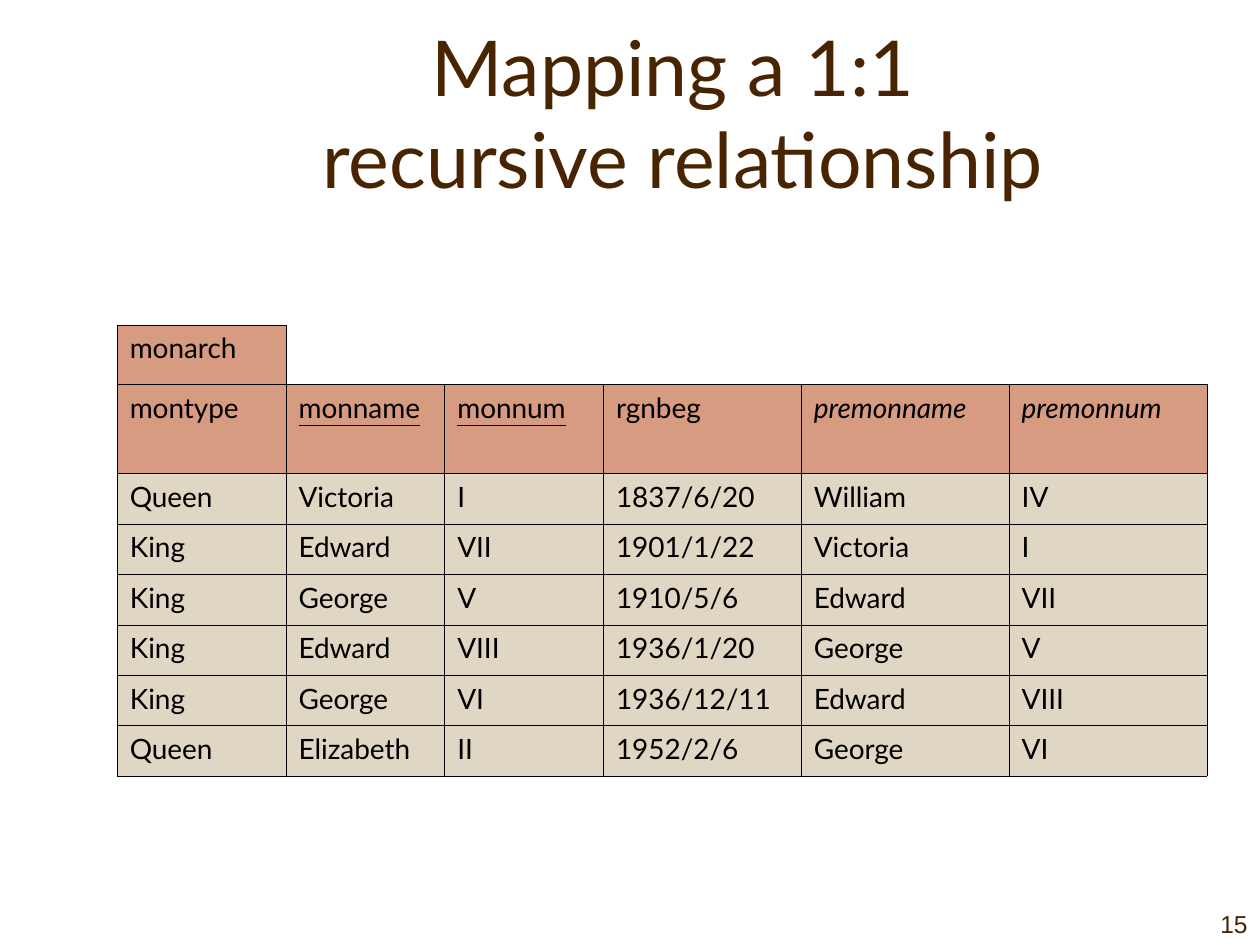
from dataclasses import dataclass

from lxml import etree
from pptx import Presentation
from pptx.dml.color import RGBColor
from pptx.enum.text import MSO_ANCHOR, PP_ALIGN
from pptx.oxml.ns import qn
from pptx.util import Inches, Pt

BOTTOM = MSO_ANCHOR.BOTTOM
CENTER, RIGHT, JUSTIFY = PP_ALIGN.CENTER, PP_ALIGN.RIGHT, PP_ALIGN.JUSTIFY
BLANK_LAYOUT = 6


@dataclass(frozen=True)
class Theme:
    """Colours, fonts and type sizes of the slide."""
    text: str = "482400"
    cell_text: str = "000000"
    border: str = "000000"
    header_fill: str = "D69B80"
    body_fill: str = "DFD6C3"
    font: str = "Lato"
    number_font: str = "Arial"
    title_size: int = 44
    cell_size: int = 16
    number_size: int = 14
    cell_spacing: int = 3
    border_width: float = 0.45


THEME = Theme()
COLUMN_WIDTHS = [1.34, 1.26, 1.26, 1.57, 1.65, 1.57]
NAME_HEIGHT, HEADER_HEIGHT, BODY_HEIGHT = 0.47, 0.71, 0.4
TABLE_NAME = "monarch"
HEADERS = ["montype", "monname", "monnum", "rgnbeg", "premonname", "premonnum"]
KEYS = {"monname", "monnum"}
FOREIGN_KEYS = {"premonname", "premonnum"}
MONARCHS = [
    ["Queen", "Victoria", "I", "1837/6/20", "William", "IV"],
    ["King", "Edward", "VII", "1901/1/22", "Victoria", "I"],
    ["King", "George", "V", "1910/5/6", "Edward", "VII"],
    ["King", "Edward", "VIII", "1936/1/20", "George", "V"],
    ["King", "George", "VI", "1936/12/11", "Edward", "VIII"],
    ["Queen", "Elizabeth", "II", "1952/2/6", "George", "VI"],
]


def style_font(font, name, size, color):
    """Set the typeface, size and colour of a font."""
    font.name = name
    font.size = Pt(size)
    font.color.rgb = RGBColor.from_string(color)


def add_text(page, bounds, lines, align, name, size):
    """Add a bottom-anchored text box with line breaks between the lines."""
    box = page.shapes.add_textbox(*map(Inches, bounds))
    frame = box.text_frame
    frame.word_wrap = True
    frame.vertical_anchor = BOTTOM
    para = frame.paragraphs[0]
    para.text = "\v".join(lines)
    para.alignment = align
    style_font(para.font, name, size, THEME.text)


def set_borders(cell, sides):
    """Draw the given sides of a cell and clear the others."""
    properties = cell._tc.get_or_add_tcPr()
    for side in "LRTB":
        line = etree.SubElement(properties, qn(f"a:ln{side}"), w=str(Pt(THEME.border_width)))
        if side in sides:
            fill = etree.SubElement(line, qn("a:solidFill"))
            etree.SubElement(fill, qn("a:srgbClr"), val=THEME.border)
        else:
            etree.SubElement(line, qn("a:noFill"))


def fill_cell(cell, text, fill):
    """Write a bordered cell, marking key and foreign key headers."""
    set_borders(cell, "LRTB")
    cell.fill.solid()
    cell.fill.fore_color.rgb = RGBColor.from_string(fill)
    para = cell.text_frame.paragraphs[0]
    para.text = text
    para.alignment = JUSTIFY
    para.space_before = para.space_after = Pt(THEME.cell_spacing)
    style_font(para.font, THEME.font, THEME.cell_size, THEME.cell_text)
    if text in KEYS:
        para.font.underline = True
    if text in FOREIGN_KEYS:
        para.font.italic = True


def clear_cell(cell, sides):
    """Leave a cell empty and unfilled with only the given borders."""
    set_borders(cell, sides)
    cell.fill.background()


def add_relation(page, left, top):
    """Add the relation table with its name tab, header and records."""
    rows = [[TABLE_NAME], HEADERS, *MONARCHS]
    heights = [NAME_HEIGHT, HEADER_HEIGHT] + [BODY_HEIGHT] * len(MONARCHS)
    bounds = (left, top, sum(COLUMN_WIDTHS), sum(heights))
    table = page.shapes.add_table(len(rows), len(HEADERS), *map(Inches, bounds)).table
    table.first_row = table.horz_banding = False
    for column, width in zip(table.columns, COLUMN_WIDTHS):
        column.width = Inches(width)
    for row, height in zip(table.rows, heights):
        row.height = Inches(height)
    for r, texts in enumerate(rows):
        fill = THEME.header_fill if r < 2 else THEME.body_fill
        for c, text in enumerate(texts):
            fill_cell(table.cell(r, c), text, fill)
    for c in range(1, len(HEADERS)):
        clear_cell(table.cell(0, c), "LB" if c == 1 else "B")


def main():
    """Build and save the slide."""
    deck = Presentation()
    deck.slide_width, deck.slide_height = Inches(10), Inches(7.5)
    page = deck.slides.add_slide(deck.slide_layouts[BLANK_LAYOUT])
    add_text(page, (1.17, 0.42, 8.5, 1.25), ["Mapping a 1:1 ", "recursive relationship"],
             CENTER, THEME.font, THEME.title_size)
    add_relation(page, 0.93, 2.58)
    add_text(page, (9, 7, 1, 0.5), ["15"], RIGHT, THEME.number_font, THEME.number_size)
    deck.save("out.pptx")


if __name__ == "__main__":
    main()
